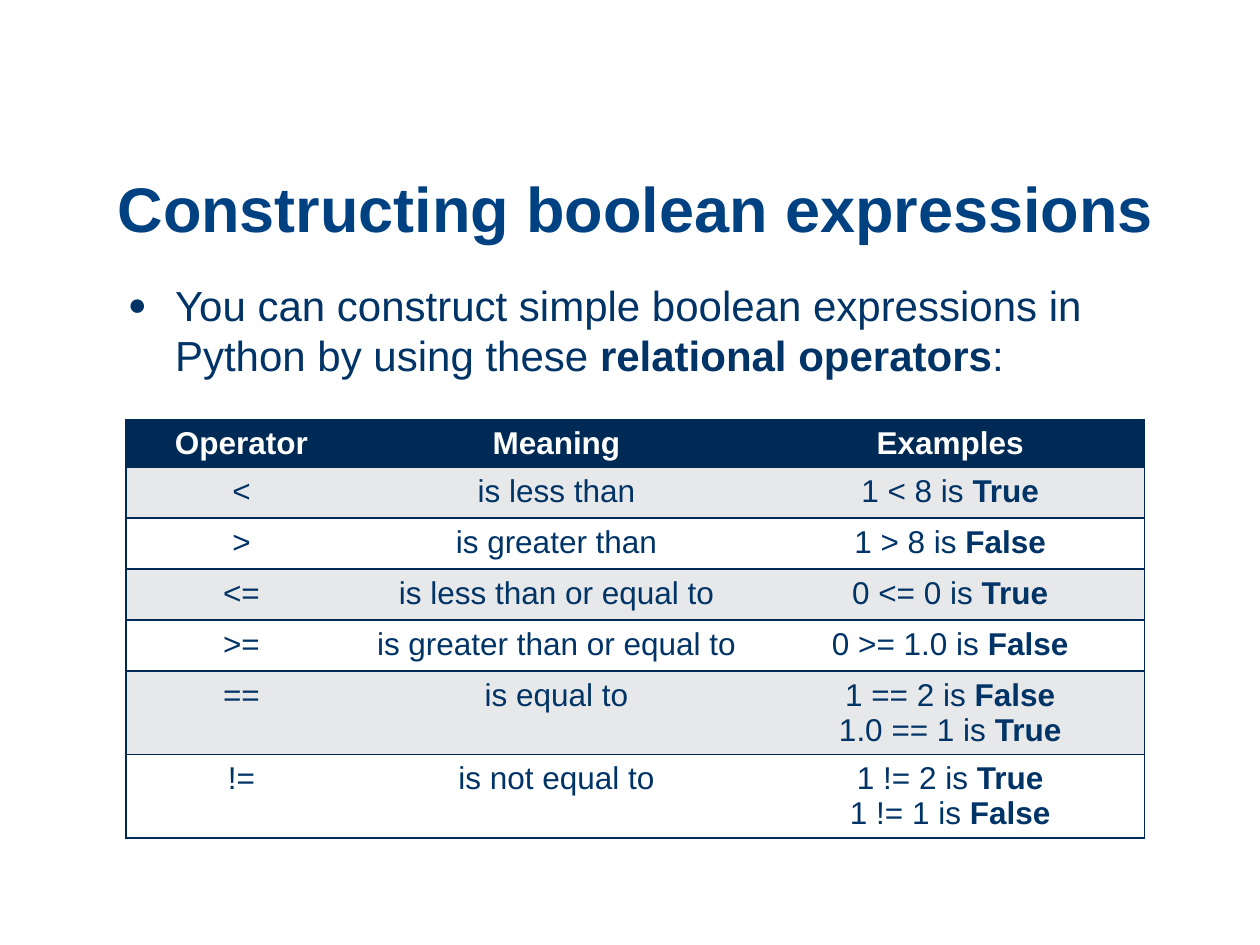
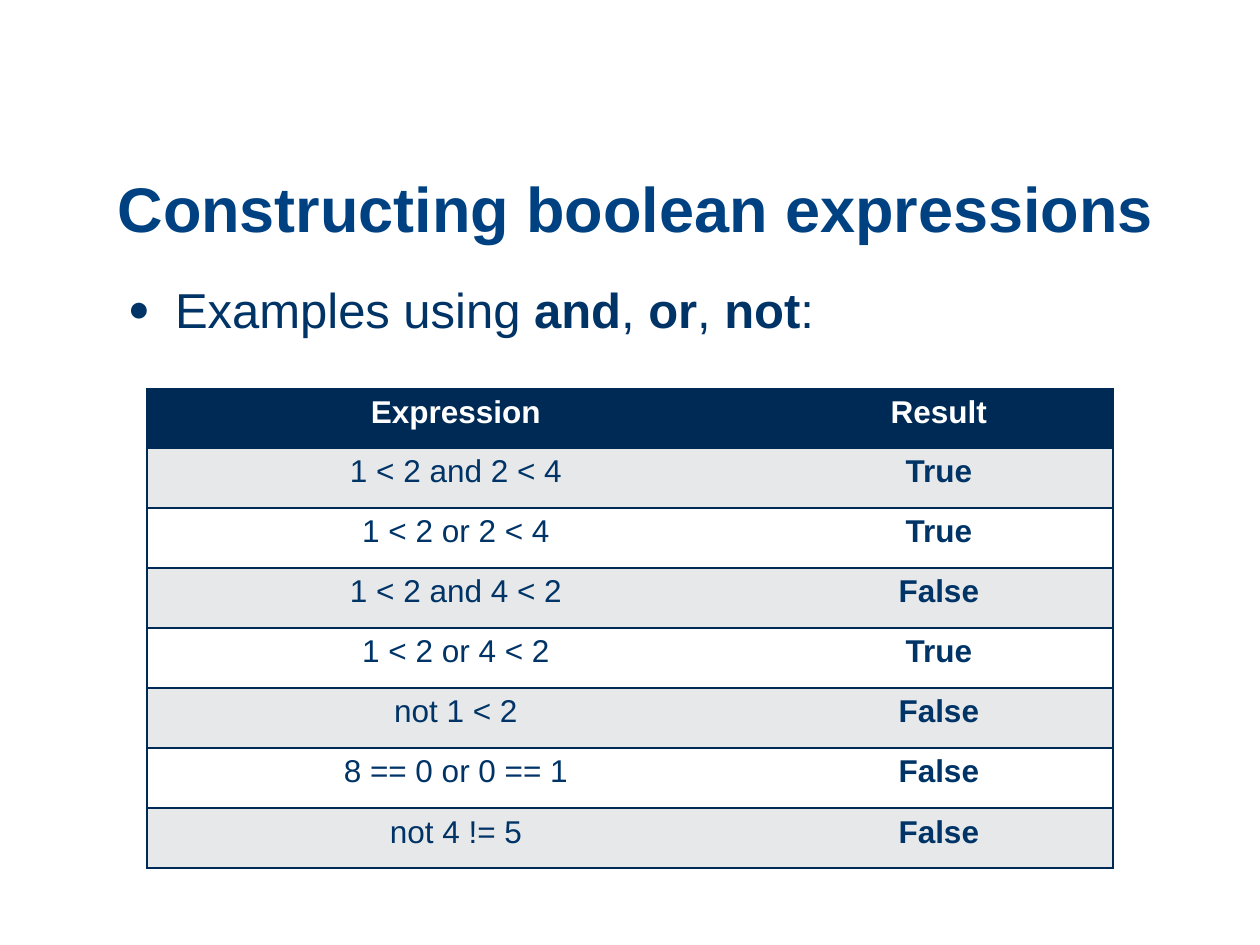
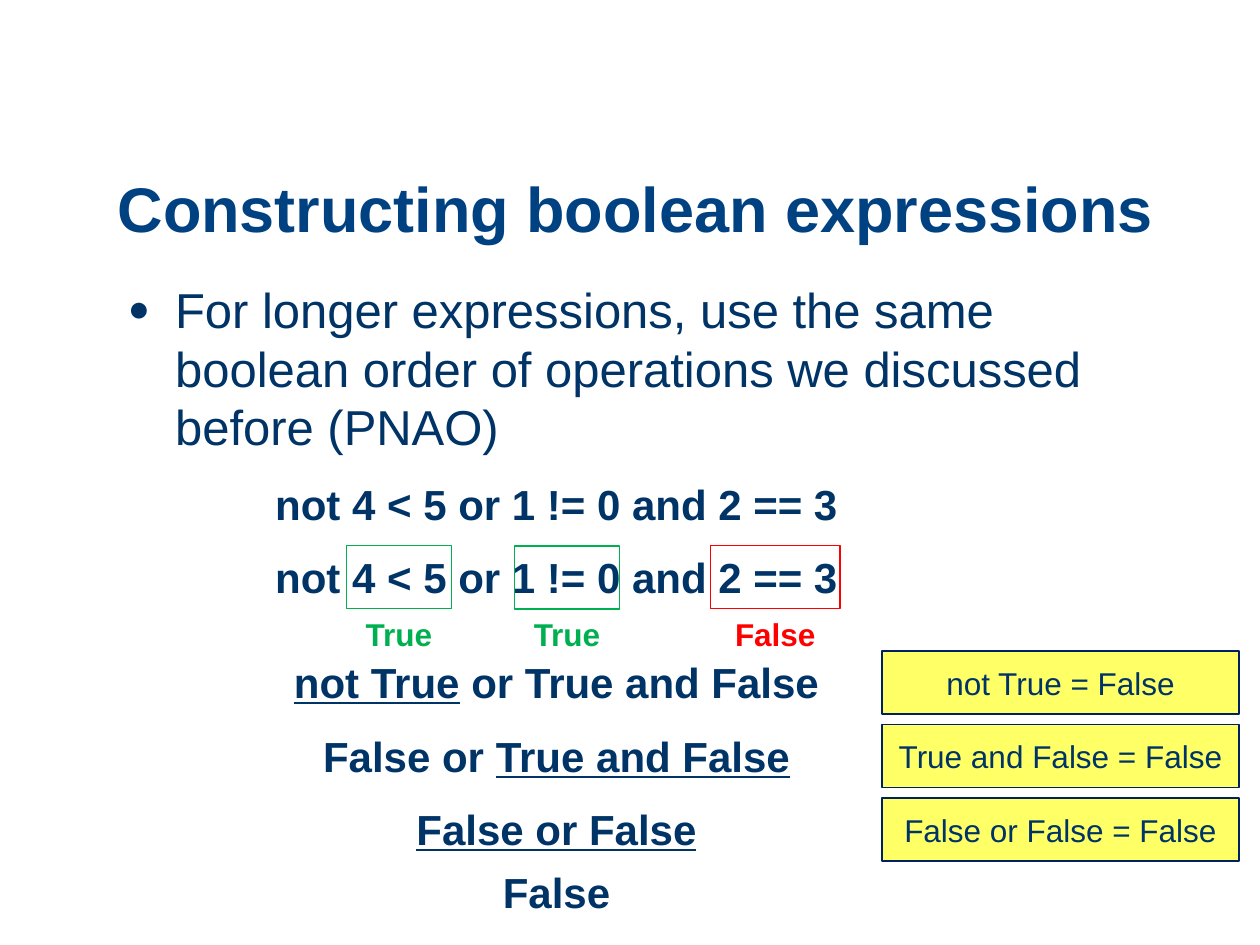
import pptx
import pptx.util
import pptx.dml.color
import pptx.enum.text
import pptx.enum.shapes
import pptx.oxml
import pptx.oxml.ns
import lxml.etree

Pt = pptx.util.Pt
ALIGN = pptx.enum.text.PP_ALIGN
ANCHOR = pptx.enum.text.MSO_ANCHOR
SHAPE = pptx.enum.shapes.MSO_SHAPE

FONT = "Arial"
INK, NAVY, BLUE, EDGE = "003366", "002A56", "004182", "002060"
WHITE, GREY, YELLOW = "FFFFFF", "E7E8E9", "FFFF66"
GREEN, RED = "00B050", "FF0000"
PLAIN = "{2D5ABB26-0587-4C30-8999-92F81FD0307C}"
TITLE = "Constructing boolean expressions"

TABLES = [
    {
        "lead": "You can construct simple boolean expressions in Python "
                "by using these |relational operators|:",
        "size": 24,
        "at": (72, 240),
        "cols": [132, 228, 222],
        "high": [27] + [29.16] * 4 + [47.6] * 2,
        "rows": [
            ("Operator", "Meaning", "Examples"),
            ("<", "is less than", "1 < 8 is |True|"),
            (">", "is greater than", "1 > 8 is |False|"),
            ("<=", "is less than or equal to", "0 <= 0 is |True|"),
            (">=", "is greater than or equal to", "0 >= 1.0 is |False|"),
            ("==", "is equal to", "1 == 2 is |False|\n1.0 == 1 is |True|"),
            ("!=", "is not equal to", "1 != 2 is |True|\n1 != 1 is |False|"),
        ],
    },
    {
        "lead": "Examples using |and|, |or|, |not|:",
        "size": 28,
        "at": (84, 222),
        "cols": [353, 199],
        "high": [34] + [34.3] * 7,
        "rows": [
            ("Expression", "Result"),
            ("1 < 2 and 2 < 4", "|True|"),
            ("1 < 2 or 2 < 4", "|True|"),
            ("1 < 2 and 4 < 2", "|False|"),
            ("1 < 2 or 4 < 2", "|True|"),
            ("not 1 < 2", "|False|"),
            ("8 == 0 or 0 == 1", "|False|"),
            ("not 4 != 5", "|False|"),
        ],
    },
]

ORDER = ("For longer expressions, use the same boolean order of operations "
         "we discussed before (PNAO)")
STEPS = [
    (270, "not 4 < 5 or 1 != 0 and 2 == 3", None),
    (311.8, "not 4 < 5 or 1 != 0 and 2 == 3", None),
    (371.7, "|not True| or True and False", "not True = False"),
    (413.9, "False or |True and False|", "True and False = False"),
    (455.7, "|False or False|", "False or False = False"),
    (491.7, "False", None),
]
MARKS = [
    (198, 311.8, 60, "True", GREEN),
    (294, 312, 60, "True", GREEN),
    (406, 311.8, 74, "False", RED),
]


def rgb(code):
    return pptx.dml.color.RGBColor.from_string(code)


def write(frame, text, size=18, color=INK, bold=False, mark="bold",
          align=ALIGN.CENTER, anchor=ANCHOR.TOP, pitch=None):
    frame.word_wrap = True
    frame.vertical_anchor = anchor
    for i, line in enumerate(text.split("\n")):
        para = frame.add_paragraph() if i else frame.paragraphs[0]
        para.alignment = align
        if pitch:
            para.line_spacing = pitch
        for j, part in enumerate(line.split("|")):
            if part:
                run = para.add_run()
                run.text = part
                font = run.font
                font.name, font.size, font.bold = FONT, Pt(size), bold
                font.color.rgb = rgb(color)
                if j % 2:
                    setattr(font, mark, True)


def label(slide, box, text, **form):
    frame = slide.shapes.add_textbox(*map(Pt, box)).text_frame
    write(frame, text, **form)
    return frame


def block(slide, box, line=None, fill=None, kind=SHAPE.RECTANGLE):
    shape = slide.shapes.add_shape(kind, *map(Pt, box))
    shape.shadow.inherit = False
    if line:
        shape.line.color.rgb = rgb(line)
        shape.line.width = Pt(0.75)
    else:
        shape.line.fill.background()
    if fill:
        shape.fill.solid()
        shape.fill.fore_color.rgb = rgb(fill)
    else:
        shape.fill.background()
    return shape


def bullet(para, size):
    para.space_before = Pt(size * 0.2)
    props = para._p.get_or_add_pPr()
    props.set("marL", str(Pt(27)))
    props.set("indent", str(-Pt(27)))
    for tag, key, value in (("buSzPct", "val", "75000"),
                            ("buFont", "typeface", FONT),
                            ("buChar", "char", "●")):
        lxml.etree.SubElement(props, pptx.oxml.ns.qn("a:" + tag)).set(key, value)


def start(deck, lead, size):
    slide = deck.slides.add_slide(deck.slide_layouts[6])
    head = block(slide, (60, 78, 624, 66), kind=SHAPE.ROUNDED_RECTANGLE)
    head.adjustments[0] = 0.217
    frame = head.text_frame
    frame.margin_left = frame.margin_right = Pt(3)
    frame.margin_top = frame.margin_bottom = Pt(-0.6)
    write(frame, TITLE, size=36, color=BLUE, bold=True,
          align=ALIGN.LEFT, anchor=ANCHOR.BOTTOM, pitch=0.9)
    body = label(slide, (66, 156, 606, 323), lead, size=size, align=ALIGN.LEFT)
    bullet(body.paragraphs[0], size)
    return slide


def border(cell, sides):
    props = cell._tc.get_or_add_tcPr()
    for i, side in enumerate(sides):
        props.insert(i, pptx.oxml.parse_xml(
            f'<a:ln{side} {pptx.oxml.ns.nsdecls("a")} w="{Pt(1)}"><a:solidFill>'
            f'<a:srgbClr val="{NAVY}"/></a:solidFill></a:ln{side}>'))


def grid(slide, data):
    rows, cols, high = data["rows"], data["cols"], data["high"]
    table = slide.shapes.add_table(
        len(rows), len(cols), *map(Pt, data["at"]),
        Pt(sum(cols)), Pt(sum(high))).table
    table._tbl.tblPr.find(pptx.oxml.ns.qn("a:tableStyleId")).text = PLAIN
    for col, wide in zip(table.columns, cols):
        col.width = Pt(wide)
    for i, row in enumerate(rows):
        table.rows[i].height = Pt(high[i])
        for j, text in enumerate(row):
            cell = table.cell(i, j)
            cell.margin_bottom = Pt(0.5)
            cell.fill.solid()
            cell.fill.fore_color.rgb = rgb((GREY if i % 2 else WHITE) if i else NAVY)
            write(cell.text_frame, text, color=INK if i else WHITE, bold=i == 0)
            left = "L" if j == 0 else ""
            right = "R" if j == len(cols) - 1 else ""
            border(cell, left + right + "TB")


deck = pptx.Presentation()
deck.slide_width, deck.slide_height = Pt(720), Pt(540)

for data in TABLES:
    grid(start(deck, data["lead"], data["size"]), data)

slide = start(deck, ORDER, 28)
for top, text, note in STEPS:
    label(slide, (6, top, 624, 36), text, size=24, bold=True, mark="underline")
    if note:
        pad = block(slide, (504, round(top), 204, 36), EDGE, YELLOW)
        write(pad.text_frame, note, anchor=ANCHOR.MIDDLE)
for left, top, wide, text, color in MARKS:
    block(slide, (left, top, wide, 36), color)
    label(slide, (left, top + 36, wide, 29), text, color=color, bold=True)

deck.save("out.pptx")
